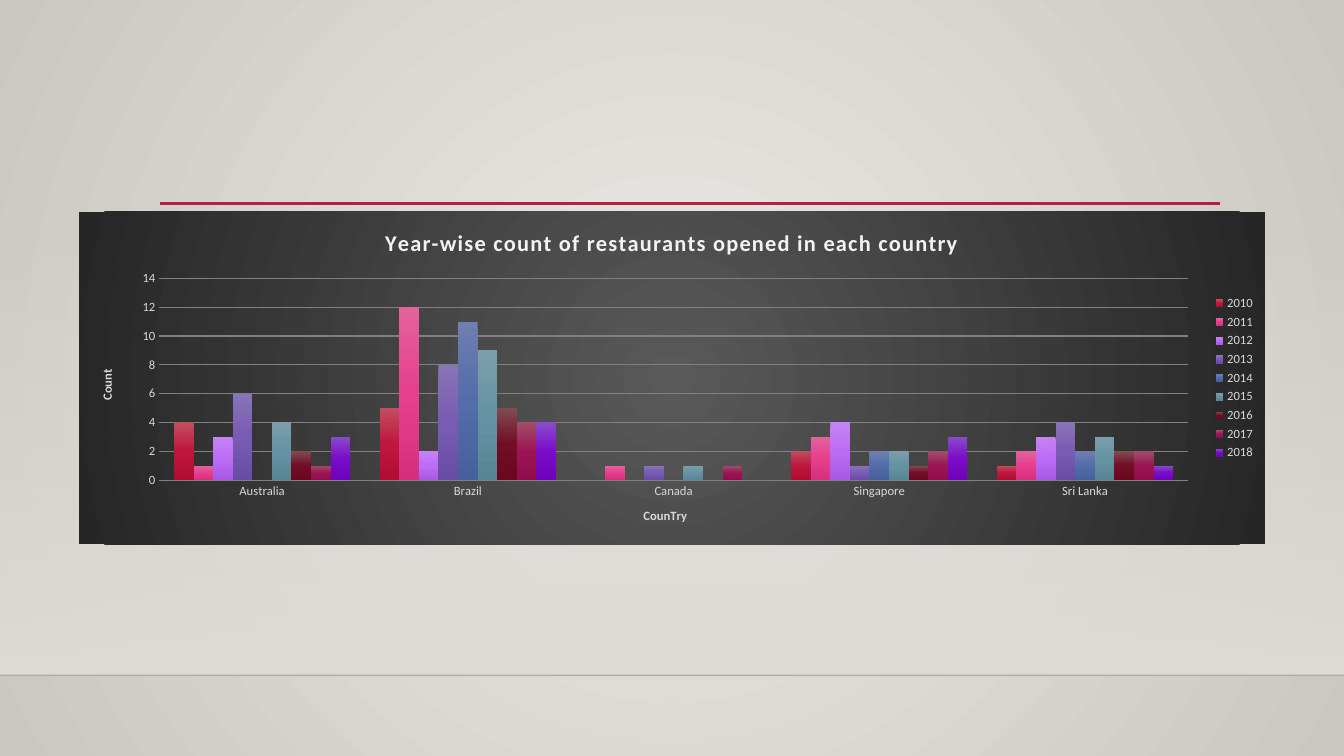
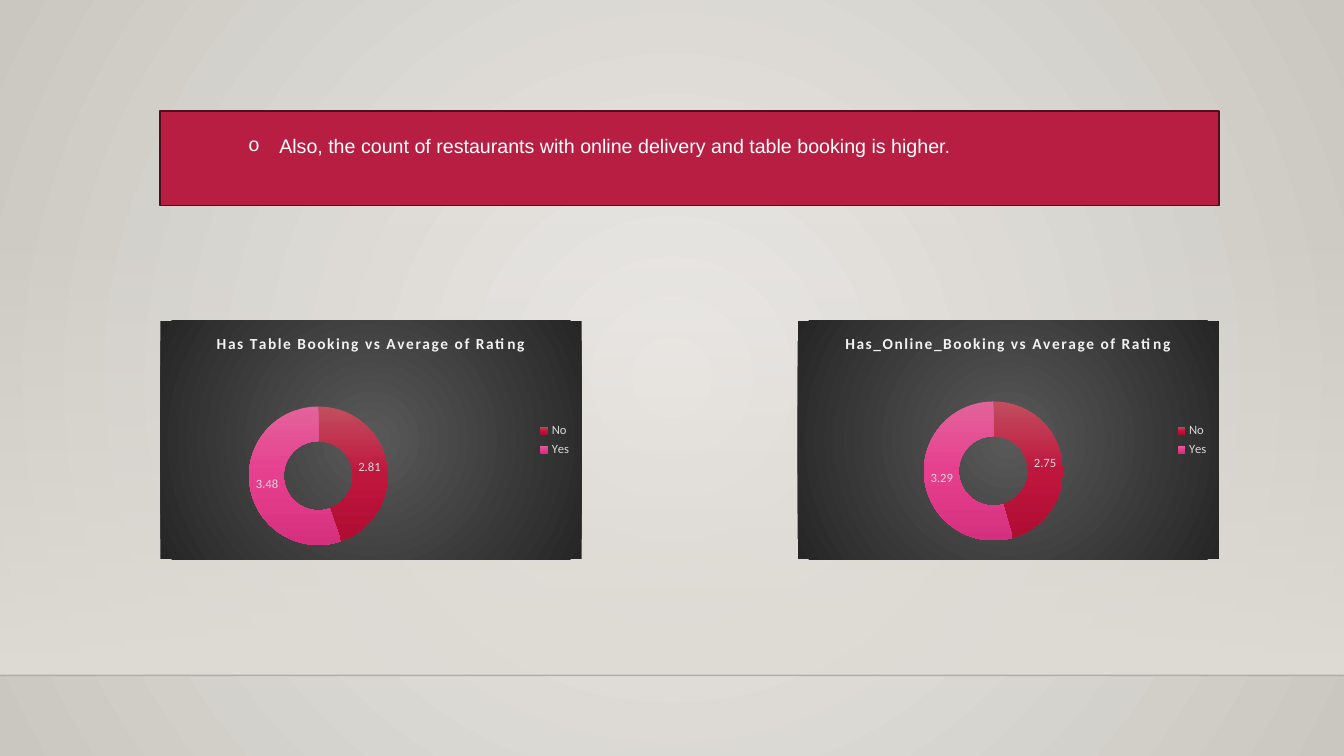
import lxml.etree
import pptx
import pptx.chart.data
import pptx.dml.color
import pptx.enum.chart
import pptx.enum.shapes
import pptx.enum.text
import pptx.oxml.ns
import pptx.util

Inches = pptx.util.Inches
Pt = pptx.util.Pt
RGB = pptx.dml.color.RGBColor.from_string
qn = pptx.oxml.ns.qn
make = lxml.etree.SubElement

COLORS = {
    "red": "B71E42", "edge": "500D1D", "sand": "DFDBD5", "light": "ECEAE7",
    "stone": "CAC7C1", "ink": "000001", "grid": "808080", "gray": "D9D9D9",
    "pale": "F2F2F2", "white": "FFFFFF", "coal": "595959", "black": "262626",
}
BARS = {
    "2010": ("C24E5F", "BF163E", "B00D33"),
    "2011": ("E3639B", "E63F8E", "D5307D"),
    "2012": ("C484F3", "BD6CF6", "A958E3"),
    "2013": ("8974B8", "785BB3", "694CA4"),
    "2014": ("6E7FB0", "546CAA", "475F9A"),
    "2015": ("7B9EAA", "6593A3", "578594"),
    "2016": ("804C52", "720D25", "6A081F"),
    "2017": ("A24E6B", "9B1554", "8F0D4A"),
    "2018": ("894CCA", "7B0CC9", "6E03BA"),
}


def put(frame, text, size=9, color="gray", bold=True, face="Calibri", gap=0):
    run = frame.paragraphs[0].add_run()
    run.text = text
    run.font.size = Pt(size)
    run.font.bold = bold
    run.font.name = face
    run.font.color.rgb = RGB(COLORS[color])
    if gap:
        run.font._element.set("spc", str(gap))


def grad(root, stops, round=False, clear=False):
    old = next(root.iter(qn("a:solidFill")))
    new = lxml.etree.Element(qn("a:gradFill"), rotWithShape="1")
    row = make(new, qn("a:gsLst"))
    for i, tone in enumerate(stops):
        stop = make(row, qn("a:gs"), pos=str(100000 * i // (len(stops) - 1)))
        color = make(stop, qn("a:srgbClr"), val=tone)
        if clear and i == 0:
            make(color, qn("a:alpha"), val="0")
    if round:
        ring = make(new, qn("a:path"), path="circle")
        make(ring, qn("a:fillToRect"), l="50000", t="50000", r="50000", b="50000")
    else:
        make(new, qn("a:lin"), ang="5400000", scaled="0")
    old.getparent().replace(old, new)


deck = pptx.Presentation()
deck.slide_width = Inches(13.33)
deck.slide_height = Inches(7.5)
first = deck.slides.add_slide(deck.slide_layouts[6])
second = deck.slides.add_slide(deck.slide_layouts[1])

master = deck.slide_master
master.background.fill.solid()
grad(master._element, (COLORS["light"], COLORS["stone"]), round=True)

band = first.shapes.add_shape(
    pptx.enum.shapes.MSO_SHAPE.RECTANGLE, 0, Inches(2.21), Inches(13.33), Inches(4.49))
band.shadow.inherit = False
band.line.fill.background()
band.fill.solid()
grad(band._element, (COLORS["sand"], COLORS["sand"]), clear=True)
decor = [band]
for left, right, top, color, width in (
        (0, 13.33, 6.7, "ink", 1), (1.59, 12.1, 2.02, "red", 2.5)):
    line = first.shapes.add_connector(
        pptx.enum.shapes.MSO_CONNECTOR.STRAIGHT,
        Inches(left), Inches(top), Inches(right), Inches(top))
    line.line.color.rgb = RGB(COLORS[color])
    line.line.width = Pt(width)
    make(line._element.spPr, qn("a:effectLst"))
    if color == "ink":
        make(next(line._element.spPr.iter(qn("a:srgbClr"))), qn("a:alpha"), val="20000")
    decor.append(line)
for i, shape in enumerate(decor):
    next(shape._element.iter(qn("p:cNvPr"))).set("id", str(20 + i))
    master.shapes._spTree.append(shape._element)

data = pptx.chart.data.CategoryChartData()
data.categories = ["Australia", "Brazil", "Canada", "Singapore", "Sri Lanka"]
counts = (
    (4, 5, None, 2, 1), (1, 12, 1, 3, 2), (3, 2, None, 4, 3),
    (6, 8, 1, 1, 4), (None, 11, None, 2, 2), (4, 9, 1, 2, 3),
    (2, 5, None, 1, 2), (1, 4, 1, 2, 2), (3, 4, None, 3, 1),
)
for year, count in zip(BARS, counts):
    data.add_series(year, count)
chart = first.shapes.add_chart(
    pptx.enum.chart.XL_CHART_TYPE.COLUMN_CLUSTERED,
    Inches(0.78), Inches(2.1), Inches(11.77), Inches(3.3), data).chart
plot = chart.plots[0]
plot.gap_width = 150
plot.overlap = 0
plot.vary_by_categories = False
for bar in plot.series:
    bar.format.fill.solid()
    grad(bar._element, BARS[bar.name])
for axis, name in ((chart.category_axis, "CounTry"), (chart.value_axis, "Count")):
    put(axis.axis_title.text_frame, name)
    axis.major_tick_mark = pptx.enum.chart.XL_TICK_MARK.NONE
    axis.format.line.fill.background()
    axis.tick_labels.font.size = Pt(9)
    axis.tick_labels.font.name = "Calibri"
    axis.tick_labels.font.color.rgb = RGB(COLORS["gray"])
scale = chart.value_axis
scale.minimum_scale = 0
scale.maximum_scale = 14
scale.major_unit = 2
scale.major_gridlines.format.line.color.rgb = RGB(COLORS["grid"])
scale.major_gridlines.format.line.width = Pt(0.75)
turn = next(scale.axis_title._element.iter(qn("a:bodyPr")))
turn.set("rot", "-5400000")
turn.set("vert", "horz")
charts = [(chart, "Year-wise count of restaurants opened in each country", 16)]

banner = second.shapes.add_shape(
    pptx.enum.shapes.MSO_SHAPE.RECTANGLE,
    Inches(1.59), Inches(1.1), Inches(10.5), Inches(0.94))
banner.shadow.inherit = False
banner.fill.solid()
banner.fill.fore_color.rgb = RGB(COLORS["red"])
banner.line.color.rgb = RGB(COLORS["edge"])
banner.line.width = Pt(1.25)

title = second.shapes.title._element
title.getparent().remove(title)
body = second.placeholders[1]
body.left, body.top = Inches(2.36), Inches(1.28)
body.width, body.height = Inches(8.03), Inches(0.34)
body.text_frame.word_wrap = True
body.text_frame.auto_size = pptx.enum.text.MSO_AUTO_SIZE.NONE
put(body.text_frame,
    "Also, the count of restaurants with online delivery and table booking is higher.",
    size=14, color="white", bold=False, face="Arial")
item = body.text_frame.paragraphs[0]
item.space_before = Pt(0)
form = item._element.get_or_add_pPr()
form.set("marL", str(Inches(0.31)))
form.set("indent", str(-Inches(0.31)))
make(form, qn("a:buFont"), typeface="Courier New")
make(form, qn("a:buChar"), char="o")
second.shapes._spTree.append(body._element)

rings = (
    (1.59, "Has Table Booking vs Average of Rating", (2.81, 3.48), (0.2, 0.36, 0.35, 0.58)),
    (7.91, "Has_Online_Booking vs Average of Rating", (2.75, 3.29), (0.3, 0.32, 0.33, 0.62)),
)
for left, name, rates, box in rings:
    data = pptx.chart.data.CategoryChartData(number_format="0.00")
    data.categories = ["No", "Yes"]
    data.add_series("Rating", rates)
    chart = second.shapes.add_chart(
        pptx.enum.chart.XL_CHART_TYPE.DOUGHNUT,
        Inches(left), Inches(3.18), Inches(4.18), Inches(2.37), data).chart
    plot = chart.plots[0]
    ring = plot.series[0]
    for i, year in enumerate(("2010", "2011")):
        ring.points[i].format.fill.solid()
        grad(ring._element, BARS[year])
    tags = ring.data_labels
    tags.show_value = True
    tags.show_percentage = False
    tags.number_format = "0.00"
    tags.number_format_is_linked = False
    tags.font.size = Pt(9)
    tags.font.name = "Calibri"
    tags.font.color.rgb = RGB(COLORS["gray"])
    next(plot._element.iter(qn("c:holeSize"))).set("val", "75")
    area = plot._element.getparent()
    for old in area.findall(qn("c:layout")):
        area.remove(old)
    frame = lxml.etree.Element(qn("c:layout"))
    area.insert(0, frame)
    spot = make(frame, qn("c:manualLayout"))
    make(spot, qn("c:layoutTarget"), val="inner")
    for key in ("xMode", "yMode"):
        make(spot, qn("c:" + key), val="edge")
    for key, part in zip("xywh", box):
        make(spot, qn("c:" + key), val=str(part))
    charts.append((chart, name, 11))

for chart, name, size in charts:
    chart.font.size = Pt(10)
    chart.font.name = "Calibri"
    chart.has_title = True
    put(chart.chart_title.text_frame, name, size=size, color="pale", gap=100)
    chart.chart_title.include_in_layout = False
    chart.has_legend = True
    key = chart.legend
    key.position = pptx.enum.chart.XL_LEGEND_POSITION.RIGHT
    key.include_in_layout = False
    key.font.size = Pt(9)
    key.font.name = "Calibri"
    key.font.color.rgb = RGB(COLORS["gray"])
    back = lxml.etree.Element(qn("c:spPr"))
    make(back, qn("a:solidFill"))
    make(make(back, qn("a:ln")), qn("a:noFill"))
    grad(back, (COLORS["coal"], COLORS["black"]), round=True)
    chart._chartSpace.find(qn("c:chart")).addnext(back)

deck.save("out.pptx")
